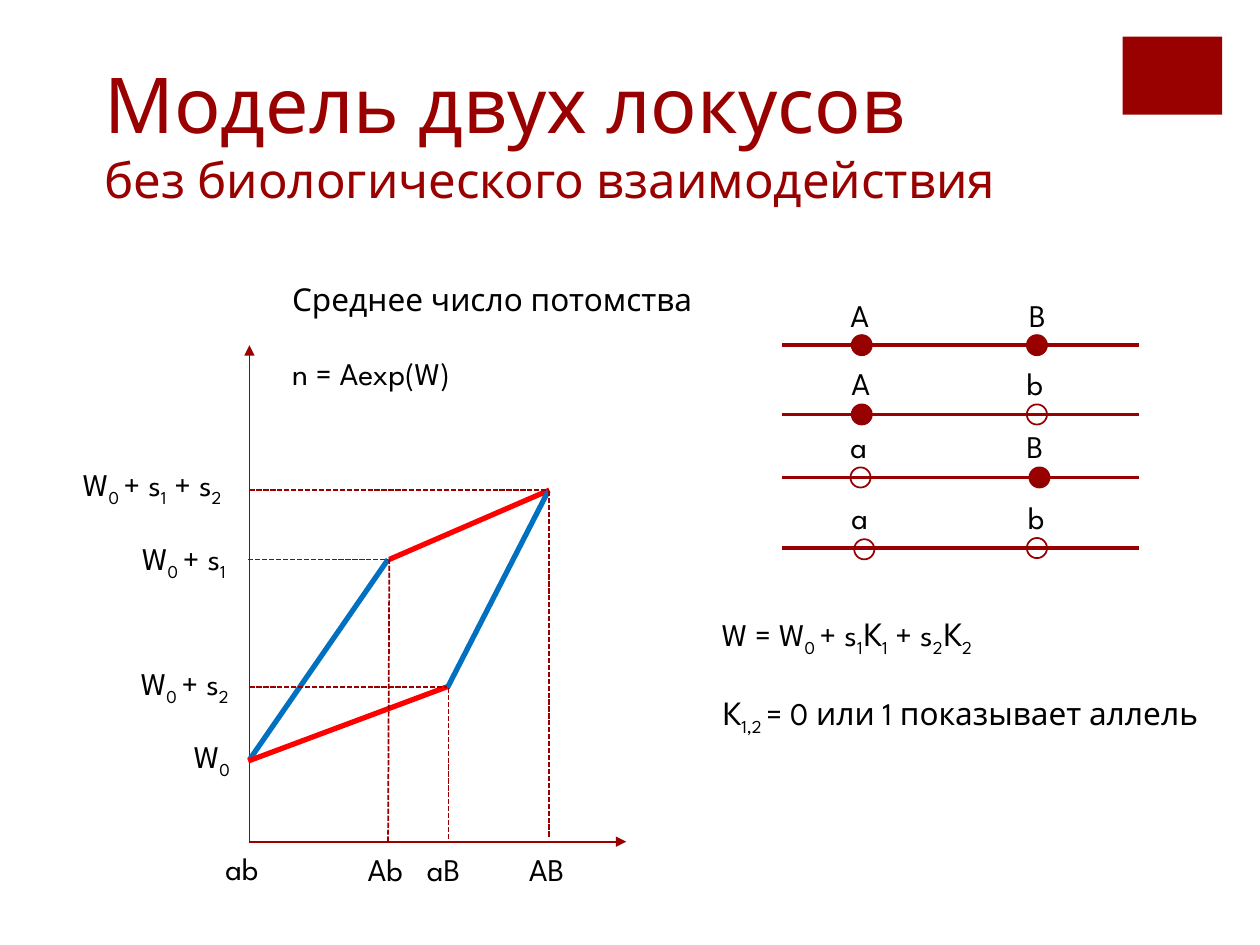
from dataclasses import dataclass

from lxml import etree
from pptx import Presentation
from pptx.dml.color import RGBColor
from pptx.enum.dml import MSO_LINE
from pptx.enum.shapes import MSO_CONNECTOR, MSO_SHAPE
from pptx.enum.text import MSO_ANCHOR, MSO_AUTO_SIZE, PP_ALIGN
from pptx.oxml.ns import qn
from pptx.util import Inches, Pt

STRAIGHT = MSO_CONNECTOR.STRAIGHT
RECTANGLE, OVAL = MSO_SHAPE.RECTANGLE, MSO_SHAPE.OVAL
DASHED = MSO_LINE.SQUARE_DOT
BOTTOM, LEFT, NO_AUTOFIT = MSO_ANCHOR.BOTTOM, PP_ALIGN.LEFT, MSO_AUTO_SIZE.NONE

FONT = "League Spartan"
COLORS = {
    "accent": "990000",
    "accent_dark": "830000",
    "outline": "960000",
    "red": "FF0000",
    "blue": "0070C0",
    "text": "000000",
}
MARKER_SIZE = 0.16
CHROMOSOME_START, CHROMOSOME_END = 6.21, 9.04


@dataclass
class Line:
    start: tuple[float, float]
    end: tuple[float, float]
    color: str = "accent"
    width: float = 1
    dashed: bool = False
    arrow: bool = False


@dataclass
class Label:
    """Paragraphs of text in which every second part between bars is a subscript."""
    paragraphs: tuple[str, ...]
    left: float
    top: float
    width: float
    height: float = 0.4


@dataclass
class Allele:
    name: str
    label_left: float
    marker_left: float
    marker_drop: float = 0


@dataclass
class Chromosome:
    top: float
    label_top: float
    alleles: tuple[Allele, Allele]


AXES = [
    Line((1.98, 6.68), (1.98, 2.74), arrow=True),
    Line((1.98, 6.68), (4.97, 6.68), arrow=True),
]
FITNESS_PATHS = [
    Line((3.09, 4.44), (4.36, 3.89), "red", 3),
    Line((1.98, 6.03), (3.08, 4.44), "blue", 3),
    Line((1.97, 6.04), (3.55, 5.45), "red", 3),
    Line((3.55, 5.46), (4.35, 3.9), "blue", 3),
]
GUIDES = [
    Line((1.97, 4.44), (3.08, 4.44), dashed=True),
    Line((1.98, 3.89), (4.36, 3.89), dashed=True),
    Line((1.98, 5.45), (3.55, 5.45), dashed=True),
    Line((3.08, 6.68), (3.09, 4.43), dashed=True),
    Line((4.36, 6.64), (4.36, 3.89), dashed=True),
    Line((3.56, 6.66), (3.56, 5.45), dashed=True),
]
LABELS = [
    Label(("Среднее число потомства", "n = Aexp(W)"), 2.22, 2.17, 3.6, 1.01),
    Label(("W = W|0 |+ s|1|К|1| + s|2|К|2|", "К|1,2 |= 0 или 1 показывает аллель"),
          5.63, 4.83, 4.18, 1.01),
    Label(("W|0 |+ s|1| + s|2|",), 0.56, 3.64, 1.48),
    Label(("W|0 |+ s|1|",), 1.03, 4.23, 1),
    Label(("W|0 |+ s|2|",), 1.02, 5.22, 1),
    Label(("W|0|",), 1.44, 5.8, 0.68),
    Label(("ab",), 1.69, 6.69, 1.22),
    Label(("Ab",), 2.82, 6.7, 1.22),
    Label(("aB",), 3.29, 6.7, 1.22),
    Label(("AB",), 4.1, 6.7, 0.54),
]
CHROMOSOMES = [
    Chromosome(2.74, 2.3, (Allele("A", 6.65, 6.76), Allele("B", 8.07, 8.15))),
    Chromosome(3.29, 2.84, (Allele("A", 6.66, 6.76), Allele("b", 8.05, 8.15))),
    Chromosome(3.79, 3.34, (Allele("a", 6.65, 6.75), Allele("B", 8.05, 8.17))),
    Chromosome(4.35, 3.9, (Allele("a", 6.66, 6.78, 0.01), Allele("b", 8.06, 8.15))),
]


def rgb(name: str) -> RGBColor:
    return RGBColor.from_string(COLORS[name])


def add_run(paragraph, text: str, *, size: float = 18, color: str = "text",
            subscript: bool = False) -> None:
    run = paragraph.add_run()
    run.text = text
    run.font.name = FONT
    run.font.size = Pt(size)
    run.font.color.rgb = rgb(color)
    if subscript:
        run.font._element.set("baseline", "-25000")


def add_label(slide, label: Label) -> None:
    box = slide.shapes.add_textbox(
        Inches(label.left), Inches(label.top), Inches(label.width), Inches(label.height))
    frame = box.text_frame
    frame.word_wrap = True
    for index, text in enumerate(label.paragraphs):
        paragraph = frame.add_paragraph() if index else frame.paragraphs[0]
        if index:
            paragraph.space_before = Pt(21)
        for position, part in enumerate(text.split("|")):
            if part:
                add_run(paragraph, part, subscript=position % 2 == 1)


def add_line(slide, line: Line) -> None:
    connector = slide.shapes.add_connector(
        STRAIGHT, *(Inches(value) for value in line.start + line.end))
    connector.line.color.rgb = rgb(line.color)
    connector.line.width = Pt(line.width)
    if line.dashed:
        connector.line.dash_style = DASHED
    if line.arrow:
        etree.SubElement(connector.line._get_or_add_ln(), qn("a:tailEnd"), type="triangle")
    etree.SubElement(connector._element.spPr, qn("a:effectLst"))


def add_marker(slide, left: float, top: float, filled: bool) -> None:
    marker = slide.shapes.add_shape(
        OVAL, Inches(left), Inches(top), Inches(MARKER_SIZE), Inches(MARKER_SIZE))
    marker.shadow.inherit = False
    marker.line.color.rgb = rgb("outline")
    marker.line.width = Pt(1)
    if not filled:
        marker.fill.background()
        return
    marker.fill.gradient()
    marker.fill.gradient_angle = 90
    stops = zip(marker.fill.gradient_stops, ("accent_dark", "accent"), (0, 0.35))
    for stop, color, position in stops:
        stop.color.rgb = rgb(color)
        stop.position = position


def add_chromosome(slide, chromosome: Chromosome) -> None:
    """Draw a line with two alleles, the dominant (capital) ones filled."""
    top = chromosome.top
    add_line(slide, Line((CHROMOSOME_START, top), (CHROMOSOME_END, top), width=2))
    for allele in chromosome.alleles:
        marker_top = top - MARKER_SIZE / 2 + allele.marker_drop
        add_marker(slide, allele.marker_left, marker_top, allele.name.isupper())
        add_label(slide, Label((allele.name,), allele.label_left, chromosome.label_top, 0.46))


def add_title(slide) -> None:
    title = slide.shapes.title
    title.left, title.top = Inches(0.73), Inches(0.45)
    title.width, title.height = Inches(7.51), Inches(1.25)
    frame = title.text_frame
    frame.auto_size = NO_AUTOFIT
    frame.vertical_anchor = BOTTOM
    paragraph = frame.paragraphs[0]
    paragraph.alignment = LEFT
    add_run(paragraph, "Модель двух локусов", size=44, color="accent")
    paragraph.add_line_break()
    add_run(paragraph, "без биологического взаимодействия", size=28, color="accent")


def main() -> None:
    presentation = Presentation()
    presentation.slide_width, presentation.slide_height = Inches(10), Inches(7.5)
    slide = presentation.slides.add_slide(presentation.slide_layouts[5])
    corner = slide.shapes.add_shape(
        RECTANGLE, Inches(8.91), Inches(0.29), Inches(0.79), Inches(0.62))
    corner.shadow.inherit = False
    corner.fill.solid()
    corner.fill.fore_color.rgb = rgb("accent")
    corner.line.fill.background()
    add_title(slide)
    for line in AXES + FITNESS_PATHS + GUIDES:
        add_line(slide, line)
    for label in LABELS:
        add_label(slide, label)
    for chromosome in CHROMOSOMES:
        add_chromosome(slide, chromosome)
    presentation.save("out.pptx")


if __name__ == "__main__":
    main()
